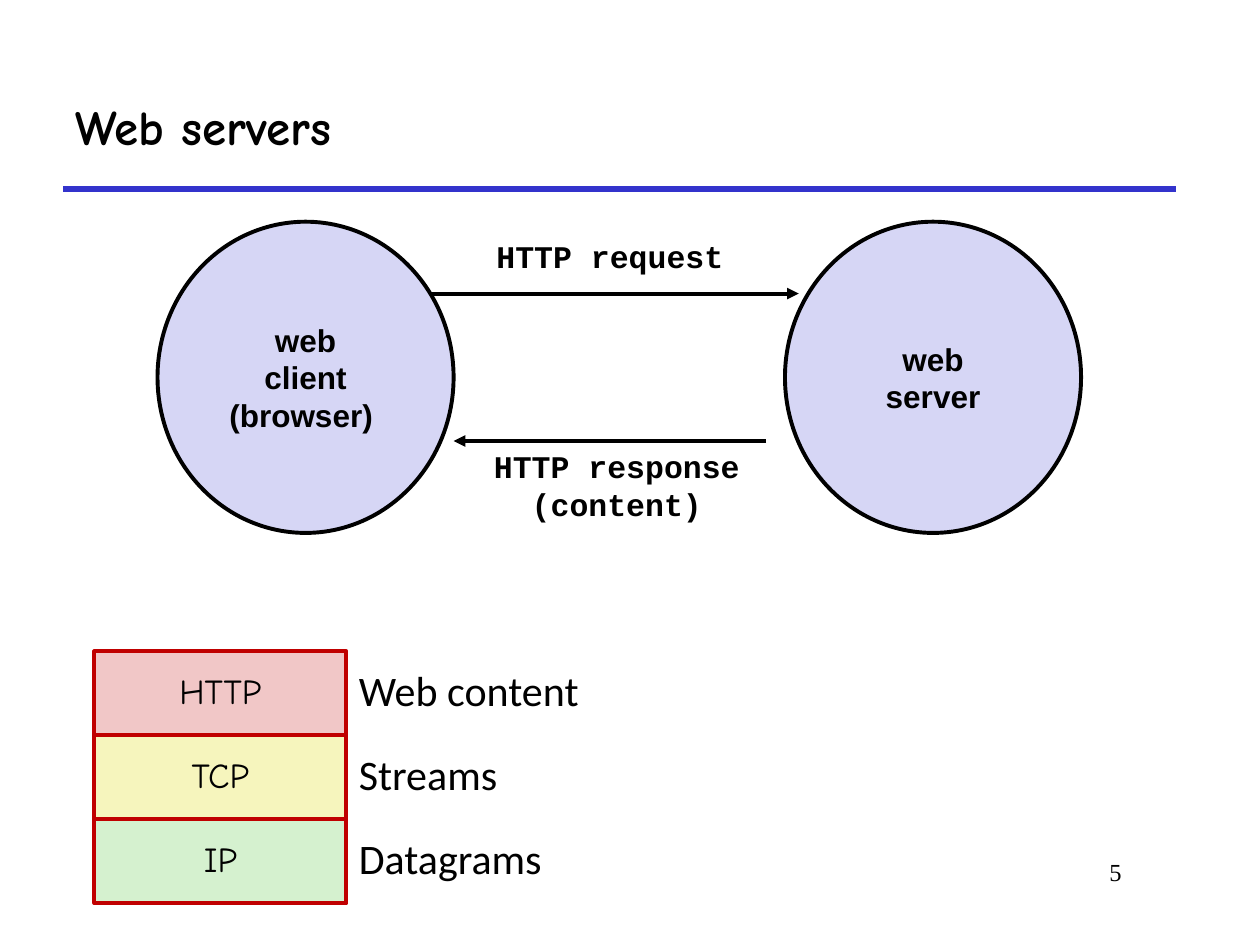
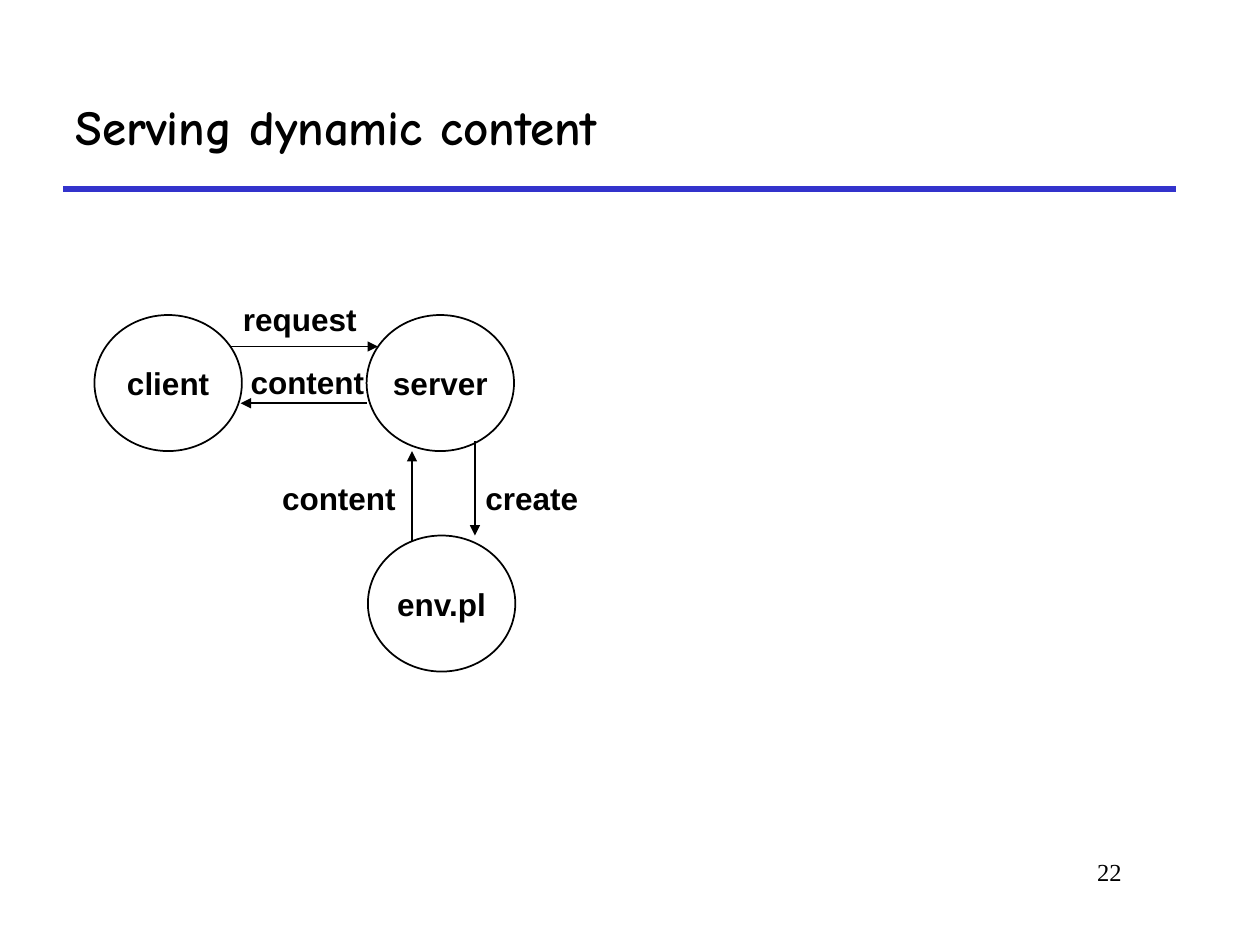
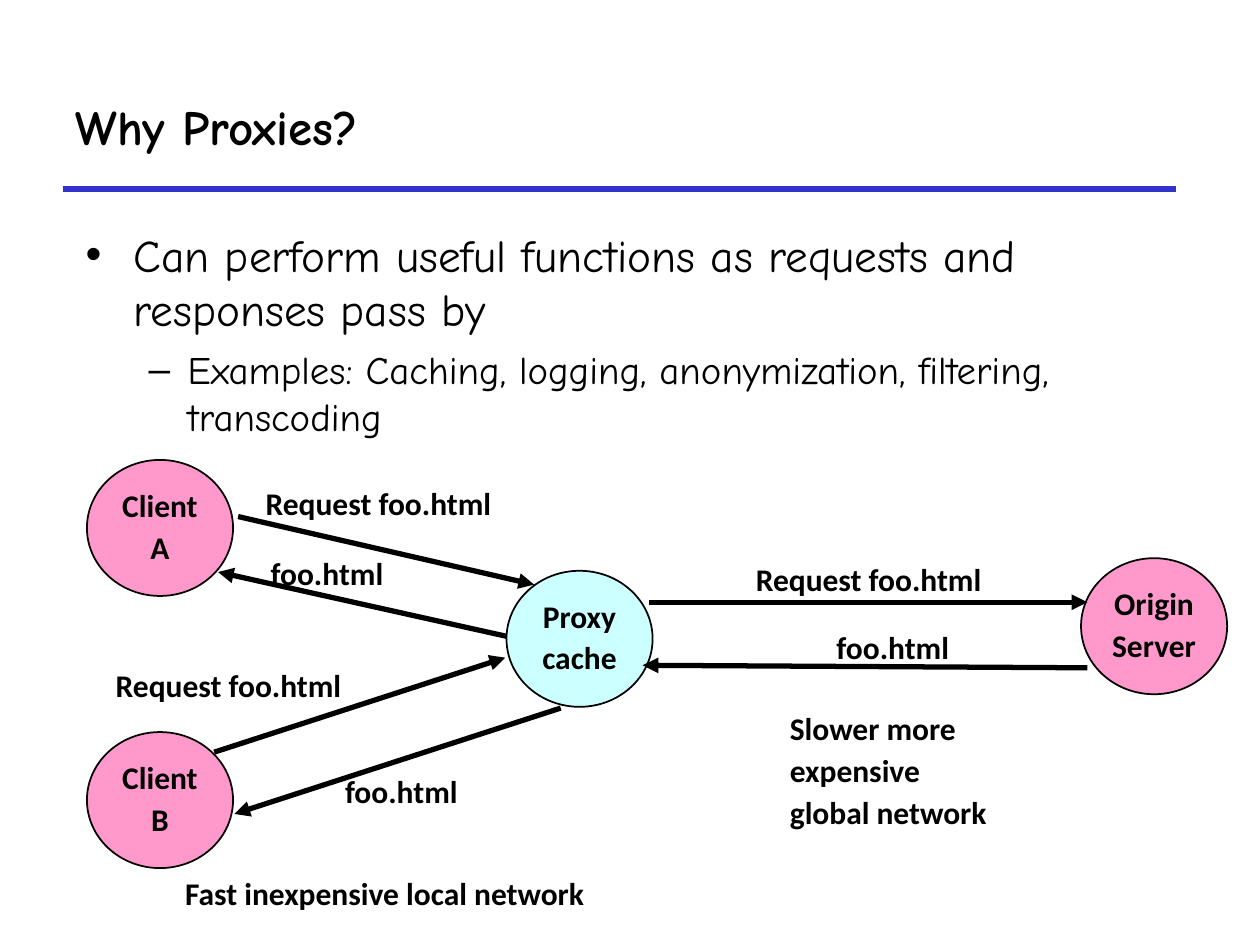
from lxml import etree
from pptx import Presentation
from pptx import util as u
from pptx.dml.color import RGBColor
from pptx.enum import shapes, text
from pptx.oxml.ns import qn

# Shared look
COLORS = {"ink": "000000", "rule": "3333CC", "lilac": "D6D6F5", "white": "FFFFFF",
          "pink": "FF99CC", "cyan": "CCFFFF", "border": "C00000",
          "red": "F1C7C7", "yellow": "F6F5BD", "green": "D5F1CF"}
LEFT, CENTER, RIGHT = text.PP_ALIGN.LEFT, text.PP_ALIGN.CENTER, text.PP_ALIGN.RIGHT
TOP, MIDDLE = text.MSO_ANCHOR.TOP, text.MSO_ANCHOR.MIDDLE
NO_FIT, GROW = text.MSO_AUTO_SIZE.NONE, text.MSO_AUTO_SIZE.SHAPE_TO_FIT_TEXT


def style(name, size, bold=False, align=LEFT, anchor=TOP, wrap=False, fit=GROW, **para):
    return {"font": {"name": name, "size": u.Pt(size), "bold": bold},
            "para": {"alignment": align, **para},
            "frame": {"vertical_anchor": anchor, "word_wrap": wrap, "auto_size": fit}}


TIGHT = {"line_spacing": 0.9, "space_before": u.Pt(4.5)}
STYLES = {
    "title": style("Comic Neue", 28, True, anchor=MIDDLE, wrap=True, fit=NO_FIT),
    "number": style("Times New Roman", 14, align=RIGHT, wrap=True, fit=NO_FIT),
    "node": style("Arial", 18, True, CENTER, MIDDLE, fit=NO_FIT),
    "proxy node": style("Calibri", 18, True, CENTER, MIDDLE, fit=NO_FIT, **TIGHT),
    "code": style("Courier New", 18, True, CENTER, MIDDLE),
    "label": style("Arial", 18, True, CENTER, MIDDLE),
    "proxy label": style("Calibri", 18, True, **TIGHT),
    "note": style("Calibri", 18, True, wrap=True, **TIGHT),
    "layer": style("Comic Neue", 20, align=CENTER, anchor=MIDDLE, wrap=True, fit=NO_FIT,
                   line_spacing=0.9, space_before=u.Pt(5)),
    "layer note": style("Calibri", 24, line_spacing=0.9, space_before=u.Pt(6)),
    "body": style("Comic Neue", 25.9, wrap=True, fit=NO_FIT),
}

# Content: nodes (text, left, top, fill, above arrows), arrows (from x, y, to x, y),
# labels (text, left, top, width, height, style)
SLIDES = [
    {"title": "Web servers", "number": "5",
     "node style": "node", "node size": (2.35, 2.47), "weight": 2.24,
     "nodes": [("web\nserver", 6.23, 1.76, "lilac", False),
               ("web\nclient\n(browser) ", 1.25, 1.76, "lilac", True)],
     "arrows": [(3.34, 2.33, 6.34, 2.33), (6.08, 3.5, 3.6, 3.5)],
     "labels": [("HTTP request", 3.84, 1.83, 2, 0.4, "code"),
                ("HTTP response\n(content)", 3.82, 3.5, 2.15, 0.7, "code")],
     "layers": [("HTTP", "red", "Web content", 1.97), ("TCP", "yellow", "Streams", 1.3),
                ("IP", "green", "Datagrams", 1.66)]},
    {"title": "Serving dynamic content", "number": "22",
     "node style": "node", "node size": (1.17, 1.08), "weight": 1,
     "nodes": [("client", 0.75, 2.5, "white", False), ("server", 2.91, 2.5, "white", False),
               ("env.pl", 2.92, 4.25, "white", True)],
     "arrows": [(1.83, 2.75, 3, 2.75), (2.91, 3.2, 1.91, 3.2),
                (3.27, 4.33, 3.27, 3.58), (3.77, 3.5, 3.77, 4.25)],
     "labels": [("request", 1.83, 2.33, 1.1, 0.4, "label"),
                ("content", 1.89, 2.83, 1.1, 0.4, "label"),
                ("content", 2.14, 3.75, 1.1, 0.4, "label"),
                ("create", 3.75, 3.75, 0.94, 0.4, "label")]},
    {"title": "Why Proxies?",
     "body": ["Can perform useful functions as requests and responses pass by",
              "Examples: Caching, logging, anonymization, filtering, transcoding"],
     "node style": "proxy node", "node size": (1.16, 1.08), "weight": 1, "arrow weight": 3,
     "nodes": [("Client\nA", 0.69, 3.65, "pink", False),
               ("Proxy\ncache", 4.02, 4.53, "cyan", False),
               ("Origin\nServer", 8.58, 4.43, "pink", False),
               ("Client\nB", 0.69, 5.81, "pink", False)],
     "arrows": [(1.89, 4.1, 4.24, 4.64), (4.02, 5.05, 1.73, 4.54),
                (5.15, 4.78, 8.63, 4.78), (8.63, 5.3, 5.1, 5.28),
                (1.7, 5.97, 4.01, 5.22), (4.45, 5.62, 1.86, 6.46)],
     "labels": [("Request foo.html", 2.01, 3.83, 2.35, 0.37, "proxy label"),
                ("foo.html", 2.05, 4.38, 1.27, 0.37, "proxy label"),
                ("Request foo.html", 5.9, 4.43, 2.35, 0.37, "proxy label"),
                ("foo.html", 6.54, 4.97, 1.27, 0.37, "proxy label"),
                ("Request foo.html", 0.82, 5.27, 2.35, 0.37, "proxy label"),
                ("foo.html", 2.64, 6.11, 1.27, 0.37, "proxy label"),
                ("Fast inexpensive local network", 1.37, 6.92, 4.05, 0.37, "proxy label"),
                ("Slower more \nexpensive\nglobal network", 6.17, 5.61, 1.85, 1.31, "note")]},
]
# Per outline level: size, space before, left margin, first-line indent
LEVELS = [(25.9, 7, 0.38, -0.38), (22.2, 6, 0.81, -0.31)]
STACK = {"left": 0.75, "top": 5.17, "width": 2, "height": 2 / 3, "note drop": 0.1}


# Helpers
def inches(*values):
    return [u.Inches(v) for v in values]


def rgb(name):
    return RGBColor.from_string(COLORS[name])


def assign(target, values):
    for name, value in values.items():
        setattr(target, name, value)


def write(sp, words, kind):
    fmt, tf = STYLES[kind], sp.text_frame
    tf.text = words
    assign(tf, fmt["frame"])
    for p in tf.paragraphs:
        assign(p, fmt["para"])
        for r in p.runs:
            assign(r.font, fmt["font"])
            r.font.color.rgb = rgb("ink")


def place(sp, *box):
    assign(sp, dict(zip(("left", "top", "width", "height"), inches(*box))))


def add_text(s, words, kind, *box):
    write(s.shapes.add_textbox(*inches(*box)), words, kind)


def add_block(s, preset, words, kind, fill, line, weight, *box):
    sp = s.shapes.add_shape(preset, *inches(*box))
    sp.shadow.inherit = False
    sp.fill.solid()
    sp.fill.fore_color.rgb = rgb(fill)
    sp.line.color.rgb = rgb(line)
    sp.line.width = u.Pt(weight)
    write(sp, words, kind)


def add_line(s, ends, color, weight, arrow=True):
    cx = s.shapes.add_connector(shapes.MSO_CONNECTOR.STRAIGHT, *inches(*ends))
    cx.line.color.rgb = rgb(color)
    cx.line.width = u.Pt(weight)
    if arrow:
        etree.SubElement(cx.line._get_or_add_ln(), qn("a:tailEnd"), type="triangle")
    etree.SubElement(cx._element.spPr, qn("a:effectLst"))
    return cx


def add_nodes(s, data, above):
    for words, x, y, fill, on_top in data["nodes"]:
        if on_top == above:
            add_block(s, shapes.MSO_SHAPE.OVAL, words, data["node style"], fill, "ink",
                      data["weight"], x, y, *data["node size"])


def add_body(s, lines):
    sp = s.placeholders[1]
    place(sp, 0.58, 1.75, 9.09, 1.81)
    write(sp, "\n".join(lines), "body")
    for level, (p, (size, before, margin, indent)) in enumerate(
            zip(sp.text_frame.paragraphs, LEVELS)):
        assign(p, {"level": level, "space_before": u.Pt(before)})
        p.runs[0].font.size = u.Pt(size)
        pPr = p._p.get_or_add_pPr()
        pPr.set("marL", str(u.Inches(margin)))
        pPr.set("indent", str(u.Inches(indent)))


def add_stack(s, layers):
    x, w, h = STACK["left"], STACK["width"], STACK["height"]
    rows = [(STACK["top"] + i * h, *layer) for i, layer in enumerate(layers)]
    for y, name, fill, note, note_w in reversed(rows):
        add_block(s, shapes.MSO_SHAPE.RECTANGLE, name, "layer", fill, "border", 2.24,
                  x, y, w, h)
        add_text(s, note, "layer note", x + w, y + STACK["note drop"], note_w, 0.46)


# Build
prs = Presentation()
prs.slide_width, prs.slide_height = inches(10, 7.5)
TITLE_AND_BODY, TITLE_ONLY = prs.slide_layouts[1], prs.slide_layouts[5]

for data in SLIDES:
    s = prs.slides.add_slide(TITLE_AND_BODY if "body" in data else TITLE_ONLY)
    place(s.shapes.title, 0.5, 0.5, 8.83, 1)
    write(s.shapes.title, data["title"], "title")
    if "number" in data:
        add_text(s, data["number"], "number", 7.58, 6.75, 1.42, 0.5)
    if "body" in data:
        add_body(s, data["body"])
    add_nodes(s, data, above=False)
    for ends in data["arrows"]:
        add_line(s, ends, "ink", data.get("arrow weight", data["weight"]))
    for words, x, y, w, h, kind in data["labels"]:
        add_text(s, words, kind, x, y, w, h)
    add_nodes(s, data, above=True)
    add_stack(s, data.get("layers", []))

# The rule under the title belongs to the master
rule = add_line(prs.slides[0], (0.5, 1.5, 9.33, 1.5), "rule", 3, arrow=False)
prs.slide_master.shapes.element.append(rule.element)

prs.save("out.pptx")
